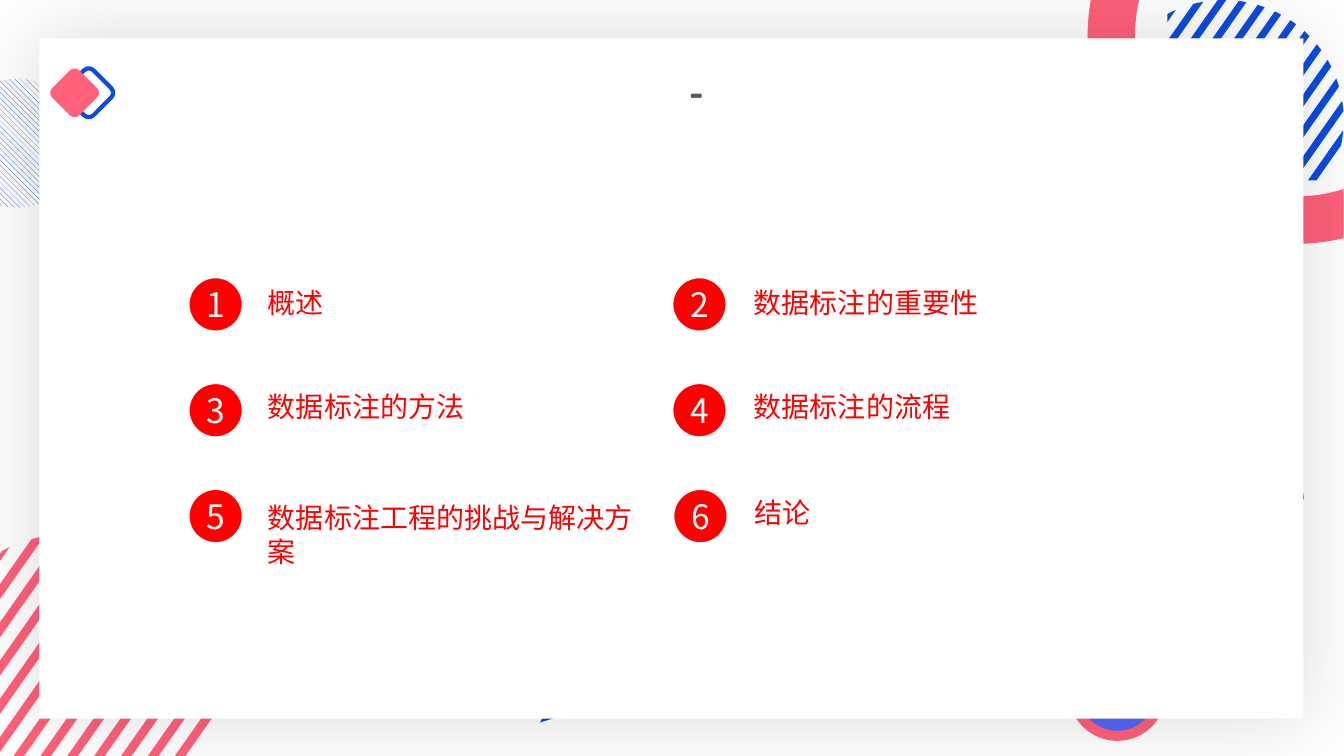
from dataclasses import dataclass
from math import cos, radians, sin

from lxml.etree import SubElement
from pptx import Presentation
from pptx.dml.color import RGBColor
from pptx.enum.dml import MSO_PATTERN
from pptx.enum.shapes import MSO_SHAPE
from pptx.enum.text import MSO_ANCHOR, PP_ALIGN
from pptx.oxml.ns import qn
from pptx.util import Pt


@dataclass(frozen=True)
class Theme:
    font: str = "Noto Sans CJK SC"
    coral: str = "FF617A"
    blue: str = "0B4BE3"
    violet: str = "5267FA"
    red: str = "FF0000"
    white: str = "FFFFFF"
    grey: str = "595959"
    black: str = "000000"
    title_size: int = 28
    number_size: int = 24
    label_size: int = 20
    label_leading: float = 24.3


THEME = Theme()
PAGE_WIDTH, PAGE_HEIGHT = 960, 540

TITLE = "-"
# Each topic: wording, left of its number, left and top of its label
TOPICS = [
    ("概述", 133.9, 184.3, 200.2),
    ("数据标注的重要性", 479.5, 531.4, 200.2),
    ("数据标注的方法", 133.9, 184.3, 274.3),
    ("数据标注的流程", 479.5, 531.4, 274.3),
    ("数据标注工程的挑战与解决方案", 133.9, 184.3, 353.5),
    ("结论", 480.2, 532.1, 349.9),
]
FIRST_ROW, ROW_STEP, NUMBER_DIAMETER = 197.3, 75.6, 40.3
LABEL_WIDTH, LABEL_HEIGHT = 294.5, 31.7

STRIPE_SLANT, STRIPE_COUNT = 0.703, 13
CORAL_STRIPES = dict(center=(51.1, 486.7), radius=105.5, window=(0, 0, 960, 540),
                     first=(132.5, 540), width=7.6, pitch=19.2, color=THEME.coral)
BLUE_STRIPES = dict(center=(874.1, 85.7), radius=85.7, window=(833.8, 0, 960, 128.9),
                    first=(940.3, 128.9), width=6.1, pitch=15.5, color=THEME.blue)
RING_CENTER = (925.2, 25.9)
RING_OUTER = (148.3, 76.5, 190.1)
RING_INNER = (114.5, 72.4, 193.1)


def rgb(color):
    return RGBColor.from_string(color)


def set_attributes(target, values):
    for name, value in values.items():
        setattr(target, name, value)


def paint(shape, fill=None, line=None, line_width=1):
    shape.shadow.inherit = False
    if fill:
        shape.fill.solid()
        shape.fill.fore_color.rgb = rgb(fill)
    else:
        shape.fill.background()
    if line:
        shape.line.color.rgb = rgb(line)
        shape.line.width = Pt(line_width)
    else:
        shape.line.fill.background()


def add_preset(page, kind, frame, rotation=0, **look):
    shape = page.shapes.add_shape(kind, *map(Pt, frame))
    shape.rotation = rotation
    paint(shape, **look)
    return shape


def write(box, text, size, color, align=PP_ALIGN.LEFT, anchor=MSO_ANCHOR.TOP,
          bold=False, leading=None):
    set_attributes(box.text_frame, {"word_wrap": True, "vertical_anchor": anchor})
    para = box.text_frame.paragraphs[0]
    para.alignment = align
    if leading:
        para.line_spacing = Pt(leading)
    span = para.add_run()
    span.text = text
    set_attributes(span.font, {"name": THEME.font, "size": Pt(size), "bold": bold})
    span.font.color.rgb = rgb(color)
    east_asian = SubElement(span.font._element, qn("a:ea"))
    east_asian.set("typeface", THEME.font)


def arc(center, radius, start, end, steps=90):
    angles = (radians(start + (end - start) * i / steps) for i in range(steps + 1))
    return [(center[0] + radius * cos(a), center[1] + radius * sin(a)) for a in angles]


def slant(point):
    return point[0] + STRIPE_SLANT * point[1]


def clip(points, limit, side):
    """Keep the part of a polygon on one side (1 above, -1 below) of a slanted line."""
    kept = []
    for start, end in zip(points, points[1:] + points[:1]):
        a, b = side * (slant(start) - limit), side * (slant(end) - limit)
        if a >= 0:
            kept.append(start)
        if a * b < 0:
            share = a / (a - b)
            kept.append(tuple(p + share * (q - p) for p, q in zip(start, end)))
    return kept


def add_outline(page, contours, color):
    contours = [[(Pt(x), Pt(y)) for x, y in contour] for contour in contours]
    builder = page.shapes.build_freeform(*contours[0][0])
    for index, contour in enumerate(contours):
        if index:
            builder.move_to(*contour[0])
        builder.add_line_segments(contour[1:], close=True)
    paint(builder.convert_to_shape(), fill=color)


def add_stripes(page, center, radius, window, first, width, pitch, color):
    """Draw parallel slanted bands inside a disc cut off by a window."""
    left, top, right, bottom = window
    disc = [(min(max(x, left), right), min(max(y, top), bottom))
            for x, y in arc(center, radius, 0, 360, 180)]
    edges = [slant(first) - pitch * i for i in range(STRIPE_COUNT)]
    bands = [clip(clip(disc, edge, -1), edge - width, 1) for edge in edges]
    add_outline(page, [band for band in bands if len(band) > 2], color)


def add_decoration(page):
    hatched = add_preset(page, MSO_SHAPE.OVAL, (-33.8, 56.2, 92.2, 92.2))
    hatched.fill.patterned()
    hatched.fill.pattern = MSO_PATTERN.WIDE_DOWNWARD_DIAGONAL
    hatched.fill.fore_color.rgb = rgb(THEME.blue)
    hatched.fill.back_color.rgb = rgb(THEME.white)
    add_preset(page, MSO_SHAPE.OVAL, (763.2, 459.4, 69.8, 69.8), fill=THEME.coral)
    add_preset(page, MSO_SHAPE.OVAL, (770.4, 466.6, 55.4, 55.4), fill=THEME.violet)
    add_preset(page, MSO_SHAPE.RIGHT_TRIANGLE, (378, 465.8, 44.6, 44.6), 252.5,
               fill=THEME.blue)
    add_stripes(page, **CORAL_STRIPES)
    ring = arc(RING_CENTER, *RING_OUTER) + arc(RING_CENTER, *RING_INNER)[::-1]
    add_outline(page, [ring], THEME.coral)
    add_stripes(page, **BLUE_STRIPES)
    add_preset(page, MSO_SHAPE.CAN, (877.7, 326.2, 42.5, 56.9), 52,
               fill=THEME.coral, line=THEME.blue)


def add_panel(page):
    panel = add_preset(page, MSO_SHAPE.RECTANGLE, (28.1, 27.4, 902.9, 486),
                       fill=THEME.white)
    effects = panel._element.spPr.find(qn("a:effectLst"))
    shadow = SubElement(effects, qn("a:outerShdw"), blurRad=str(Pt(60)), dist="0",
                        dir="0", algn="ctr", rotWithShape="0")
    tint = SubElement(shadow, qn("a:srgbClr"), val=THEME.black)
    SubElement(tint, qn("a:alpha"), val="15000")
    for left, look in ((49.7, {"line": THEME.blue, "line_width": 3}),
                       (39.6, {"fill": THEME.coral})):
        add_preset(page, MSO_SHAPE.ROUNDED_RECTANGLE, (left, 52.6, 27.4, 27.4), 45, **look)


def add_title(page, title):
    set_attributes(title, {"left": Pt(81.4), "top": Pt(45.4),
                           "width": Pt(832.3), "height": Pt(41)})
    write(title, TITLE, THEME.title_size, THEME.grey, PP_ALIGN.CENTER,
          MSO_ANCHOR.MIDDLE, bold=True)
    page.shapes._spTree.append(title._element)


def add_topics(page):
    for index, (label, number_left, label_left, label_top) in enumerate(TOPICS):
        top = FIRST_ROW + index // 2 * ROW_STEP
        number = add_preset(page, MSO_SHAPE.OVAL,
                            (number_left, top, NUMBER_DIAMETER, NUMBER_DIAMETER),
                            fill=THEME.red, line=THEME.white, line_width=3)
        write(number, str(index + 1), THEME.number_size, THEME.white,
              PP_ALIGN.CENTER, MSO_ANCHOR.MIDDLE)
        box = page.shapes.add_textbox(Pt(label_left), Pt(label_top),
                                      Pt(LABEL_WIDTH), Pt(LABEL_HEIGHT))
        write(box, label, THEME.label_size, THEME.red, leading=THEME.label_leading)


def main():
    deck = Presentation()
    set_attributes(deck, {"slide_width": Pt(PAGE_WIDTH), "slide_height": Pt(PAGE_HEIGHT)})
    page = deck.slides.add_slide(deck.slide_layouts[5])
    add_decoration(page)
    add_panel(page)
    add_title(page, page.shapes.title)
    add_topics(page)
    deck.save("out.pptx")


if __name__ == "__main__":
    main()
